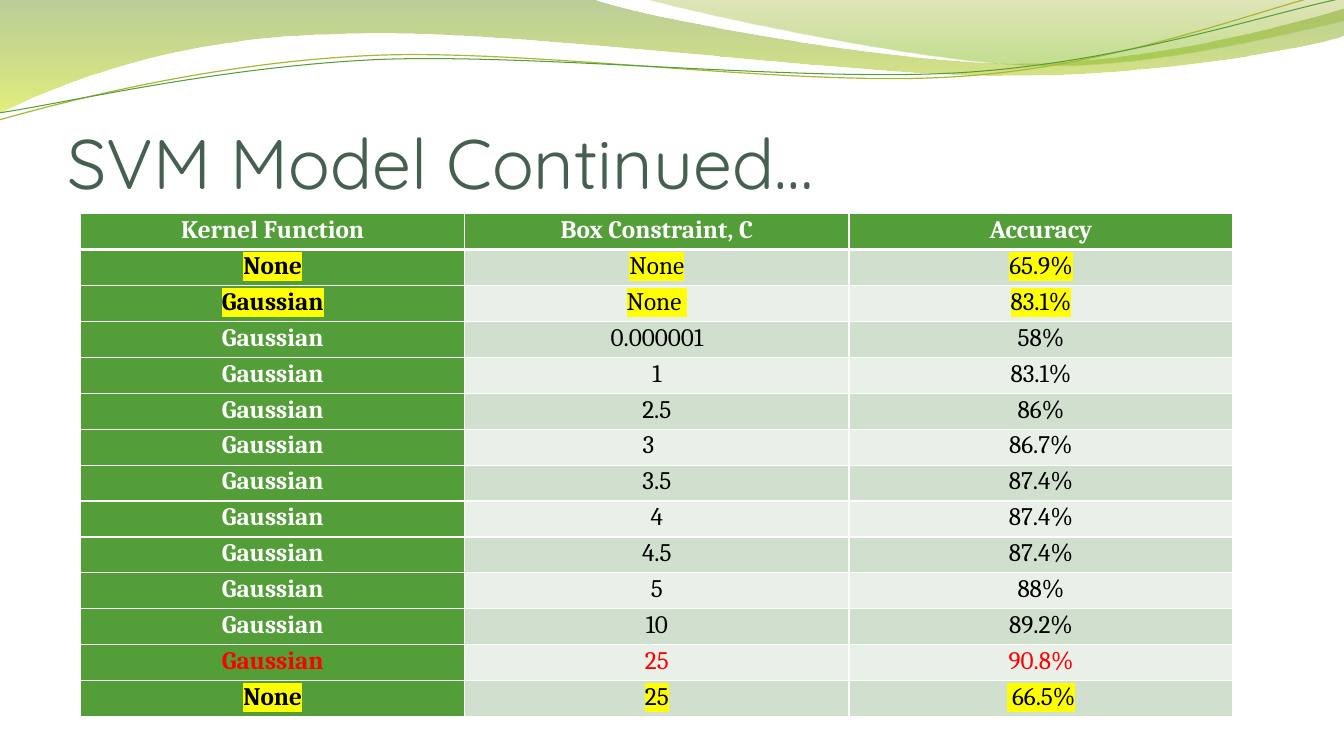
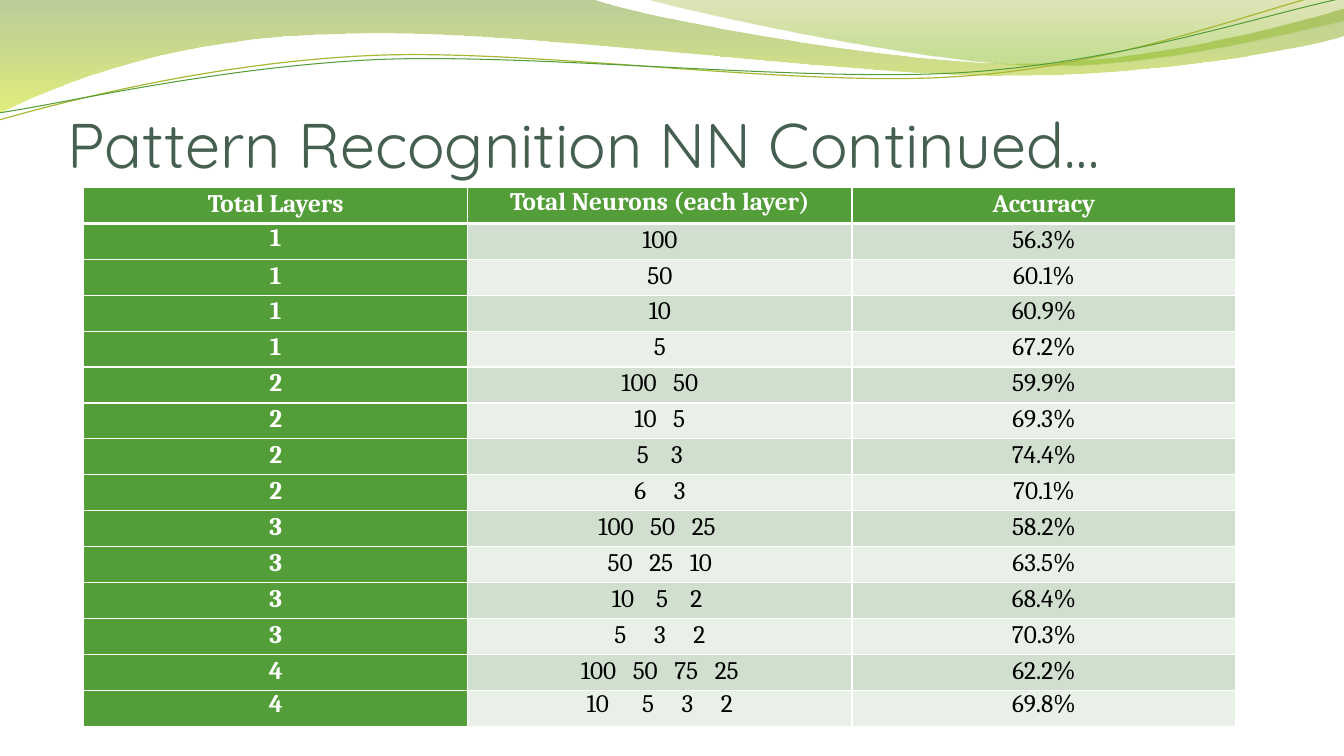
from dataclasses import dataclass

from lxml import etree
from pptx import Presentation
from pptx.dml.color import RGBColor
from pptx.enum.text import MSO_ANCHOR, PP_ALIGN
from pptx.oxml import parse_xml
from pptx.util import Inches, Pt

CENTER = PP_ALIGN.CENTER
TOP, BOTTOM = MSO_ANCHOR.TOP, MSO_ANCHOR.BOTTOM
NS = "http://schemas.openxmlformats.org/drawingml/2006/main"


@dataclass
class Theme:
    green: str = "549E39"
    olive: str = "A9B733"
    title: str = "455F51"
    white: str = "FFFFFF"
    black: str = "000000"
    red: str = "FF0000"
    yellow: str = "FFFF00"
    bands: tuple = ("D1DFCE", "E9F0E8")
    head: str = "Quicksand"
    body: str = "Cambria"
    size: int = 18


theme = Theme()

WAVES = [
    {"start": (0, 0), "fill": [(0, "69921C", 45), (100, "CCE10F", 55)],
     "parts": [(5.87, -0.01), (6.34, 0.17, 8.84, 0.63, 10.11, 0.63),
               (11.37, 0.63, 12.77, 0.26, 13.33, 0.09), (13.34, 0.36),
               (13.11, 0.44, 11.59, 0.76, 9.94, 0.75),
               (8.29, 0.75, 5.09, 0.28, 3.43, 0.34),
               (1.72, 0.36, 0.61, 0.83, -0.02, 1.13), (0, 0)]},
    {"start": (6.38, -0.01), "fill": [(0, "9BAA1A", 30), (80, "81BA16", 45)],
     "parts": [(6.79, 0.11, 9.09, 0.62, 10.25, 0.65),
               (11.4, 0.69, 12.82, 0.32, 13.33, 0.21), (13.33, 0), (6.38, -0.01)]},
    {"start": (-0.01, 1.19), "line": (theme.olive, 0.85),
     "parts": [(0.63, 1.01, 2.1, 0.62, 3.69, 0.55),
               (5.27, 0.48, 7.89, 0.87, 9.49, 0.76),
               (11.1, 0.66, 12.51, 0.08, 13.3, -0.1)]},
    {"start": (-0.01, 1.12), "line": (theme.green, 0.75),
     "parts": [(0.62, 1.03, 2.18, 0.66, 3.77, 0.59),
               (5.37, 0.53, 7.96, 0.82, 9.55, 0.72),
               (11.14, 0.62, 12.55, 0.14, 13.33, -0.02)]},
]

PAGES = [
    {"title": "SVM Model Continued…", "size": 50, "top": 0.77,
     "table": (0.8, 2.12, 4.99),
     "marked": (1, 2, 13), "red": (12,), "tight": (),
     "rows": [
         ("Kernel Function", "Box Constraint, C", "Accuracy"),
         ("None", "None", "65.9%"),
         ("Gaussian", "None ", "83.1%"),
         ("Gaussian", "0.000001", "58%"),
         ("Gaussian", "1", "83.1%"),
         ("Gaussian", "2.5", "86%"),
         ("Gaussian", "3   ", "86.7%"),
         ("Gaussian", "3.5", "87.4%"),
         ("Gaussian", "4", "87.4%"),
         ("Gaussian", "4.5", "87.4%"),
         ("Gaussian", "5", "88%"),
         ("Gaussian", "10", "89.2%"),
         ("Gaussian", "25", "90.8%"),
         ("None", "25", " 66.5%")]},
    {"title": "Pattern Recognition NN Continued…", "size": 45, "top": 0.55,
     "table": (0.83, 1.86, 5.35),
     "marked": (), "red": (),
     "tight": ((0, 1), (1, 0), (14, 0), (14, 1), (14, 2)),
     "rows": [
         ("Total Layers", "Total Neurons (each layer)", "Accuracy"),
         ("1", "100", "56.3%"),
         ("1", "50", "60.1%"),
         ("1", "10", "60.9%"),
         ("1", "5", "67.2%"),
         ("2", "100   50", "59.9%"),
         ("2", "10   5", "69.3%"),
         ("2", "5    3", "74.4%"),
         ("2", "6     3", "70.1%"),
         ("3", "100   50   25 ", "58.2%"),
         ("3", "50   25   10", "63.5%"),
         ("3", "10    5    2 ", "68.4%"),
         ("3", "5     3     2", "70.3%"),
         ("4", "100   50   75   25", "62.2%"),
         ("4", "10      5     3     2", "69.8%")]},
]


def style(run, face, size, color, bold=False):
    run.font.name = face
    run.font.size = Pt(size)
    run.font.bold = bold
    run.font.color.rgb = RGBColor.from_string(color)


def bend(shape, parts):
    lines = list(shape.element.iter(f"{{{NS}}}lnTo"))
    for part in parts:
        count = len(part) // 2
        group, lines = lines[:count], lines[count:]
        if count == 3:
            curve = etree.Element(f"{{{NS}}}cubicBezTo")
            group[0].addprevious(curve)
            for line in group:
                curve.append(line[0])
                line.getparent().remove(line)


prs = Presentation()
prs.slide_width, prs.slide_height = Inches(13.33), Inches(7.5)
blank = prs.slide_layouts[6]
slides = [prs.slides.add_slide(blank) for page in PAGES]

for wave in WAVES:
    x, y = wave["start"]
    pen = slides[0].shapes.build_freeform(Inches(x), Inches(y))
    points = [(Inches(part[i]), Inches(part[i + 1]))
              for part in wave["parts"] for i in range(0, len(part), 2)]
    pen.add_line_segments(points, close="fill" in wave)
    shape = pen.convert_to_shape()
    bend(shape, wave["parts"])
    shape.shadow.inherit = False
    shape.fill.background()
    if "fill" in wave:
        shape.line.fill.background()
        stops = "".join(
            f'<a:gs pos="{pos * 1000}"><a:srgbClr val="{color}">'
            f'<a:alpha val="{alpha * 1000}"/></a:srgbClr></a:gs>'
            for pos, color, alpha in wave["fill"])
        grad = parse_xml(f'<a:gradFill xmlns:a="{NS}"><a:gsLst>{stops}</a:gsLst>'
                         '<a:lin ang="5400000" scaled="0"/></a:gradFill>')
        props = shape.element.spPr
        props.replace(props.find(f"{{{NS}}}noFill"), grad)
    else:
        color, width = wave["line"]
        shape.line.color.rgb = RGBColor.from_string(color)
        shape.line.width = Pt(width)
    prs.slide_master.shapes.element.append(shape.element)

for slide, page in zip(slides, PAGES):
    left, top, height = page["table"]
    rows = page["rows"]
    grid = slide.shapes.add_table(len(rows), 3, Inches(left), Inches(top),
                                  Inches(11.43), Inches(height)).table
    grid.horz_banding = False
    for r, row in enumerate(rows):
        for c, text in enumerate(row):
            cell = grid.cell(r, c)
            cell.margin_left = cell.margin_right = Inches(0.07)
            cell.margin_top = cell.margin_bottom = 0
            cell.vertical_anchor = TOP
            solid = r == 0 or c == 0
            thick = {"lnT": r == 1, "lnB": r == 0}
            props = cell._tc.get_or_add_tcPr()
            for side in ("lnL", "lnR", "lnT", "lnB"):
                width = Pt(3 if thick.get(side) else 1)
                props.append(parse_xml(
                    f'<a:{side} xmlns:a="{NS}" w="{width}"><a:solidFill>'
                    f'<a:srgbClr val="{theme.white}"/></a:solidFill></a:{side}>'))
            cell.fill.solid()
            cell.fill.fore_color.rgb = RGBColor.from_string(
                theme.green if solid else theme.bands[(r - 1) % 2])

            para = cell.text_frame.paragraphs[0]
            para.alignment = CENTER
            if (r, c) not in page["tight"]:
                para.line_spacing = 1.07
            para.text = text
            run = para.runs[0]
            marked = r in page["marked"]
            color = theme.white if solid and not marked else theme.black
            if r in page["red"]:
                color = theme.red
            style(run, theme.body, theme.size, color, solid)
            if marked:
                glow = etree.Element(f"{{{NS}}}highlight")
                etree.SubElement(glow, f"{{{NS}}}srgbClr", val=theme.yellow)
                run.font._element.find(f"{{{NS}}}solidFill").addnext(glow)

    box = slide.shapes.add_textbox(Inches(0.67), Inches(page["top"]),
                                   Inches(12), Inches(1.25))
    frame = box.text_frame
    frame.word_wrap = True
    frame.vertical_anchor = BOTTOM
    frame.margin_left = frame.margin_right = frame.margin_bottom = 0
    frame.margin_top = Inches(0.05)
    frame.text = page["title"]
    style(frame.paragraphs[0].runs[0], theme.head, page["size"], theme.title)

prs.save("out.pptx")
